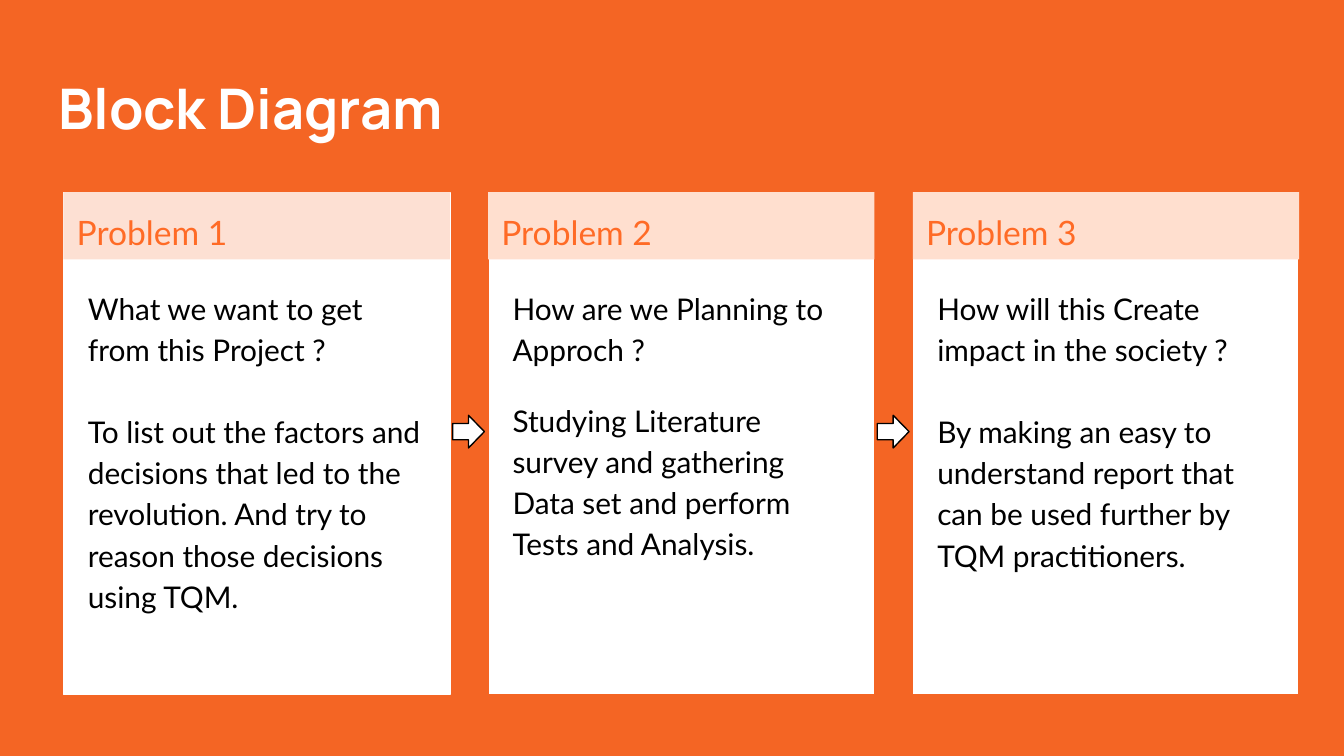
from pptx import Presentation
from pptx.dml.color import RGBColor
from pptx.enum import shapes, text
from pptx.util import Pt

COLOURS = {
    "orange": "F46524",
    "heading": "FF6B26",
    "blush": "FDE0D3",
    "peach": "FFDFCF",
    "white": "FFFFFF",
    "black": "000000",
}

# Card grid, in points
LEFT, TOP, PITCH = 34, 103, 227.5
CARD_WIDTH, CARD_HEIGHT, HEADER_HEIGHT = 207, 269, 36

# Heading, header fill, card outline, gap between paragraphs, paragraphs
CARDS = [
    ("Problem 1", "blush", "white", 22, [
        "What we want to get from this Project ?",
        "To list out the factors and decisions that led to the revolution. "
        "And try to reason those decisions using TQM."]),
    ("Problem 2", "peach", "orange", 16, [
        "How are we Planning to Approch ?",
        "Studying Literature survey and gathering Data set and perform "
        "Tests and Analysis."]),
    ("Problem 3", "peach", "orange", 22, [
        "How will this Create impact in the society ?",
        "By making an easy to understand report that can be used further by "
        "TQM practitioners."]),
]


def colour(name):
    return RGBColor.from_string(COLOURS[name])


def place(box, left, top, width, height):
    box.left, box.top, box.width, box.height = map(Pt, (left, top, width, height))


def set_text(box, paragraphs, font, size, ink, bold=False, spacing=1.0, gap=0,
             anchor=text.MSO_ANCHOR.TOP):
    frame = box.text_frame
    frame.word_wrap = True
    frame.auto_size = text.MSO_AUTO_SIZE.NONE
    frame.vertical_anchor = anchor
    frame.margin_left = frame.margin_right = Pt(7.2)
    frame.margin_top = frame.margin_bottom = Pt(7.2)
    frame.text = "\n".join(paragraphs)
    for index, para in enumerate(frame.paragraphs):
        para.alignment = text.PP_ALIGN.LEFT
        para.line_spacing = spacing
        if index:
            para.space_before = Pt(gap)
        for span in para.runs:
            span.font.name = font
            span.font.size = Pt(size)
            span.font.bold = bold
            span.font.color.rgb = colour(ink)


def add_block(page, kind, left, top, width, height, fill, line=None):
    block = page.shapes.add_shape(
        kind, Pt(left), Pt(top), Pt(width), Pt(height))
    block.shadow.inherit = False
    block.fill.solid()
    block.fill.fore_color.rgb = colour(fill)
    if line:
        block.line.color.rgb = colour(line)
        block.line.width = Pt(0.75)
    else:
        block.line.fill.background()
    return block


def add_title(page, words):
    title = page.shapes.title
    place(title, 24, 32.5, 671, 50)
    set_text(title, [words], "Manrope", 30, "white", bold=True,
             anchor=text.MSO_ANCHOR.MIDDLE)


def add_card(page, left, heading, header_fill, outline, gap, paragraphs):
    rectangle = shapes.MSO_SHAPE.RECTANGLE
    add_block(page, rectangle, left, TOP, CARD_WIDTH, CARD_HEIGHT,
              "white", outline)
    header = add_block(page, rectangle, left, TOP, CARD_WIDTH, HEADER_HEIGHT,
                       header_fill)
    set_text(header, [heading], "Lato", 18, "heading", spacing=1.15)
    body = page.shapes.add_textbox(
        Pt(left + 6), Pt(TOP + 42.5), Pt(195), Pt(220))
    set_text(body, paragraphs, "Lato", 16, "black", spacing=1.15, gap=gap)


def add_arrow(page, left):
    add_block(page, shapes.MSO_SHAPE.RIGHT_ARROW, left, 222.5, 17, 17.5,
              "white", "black")


def main():
    deck = Presentation()
    deck.slide_width, deck.slide_height = Pt(720), Pt(405)
    page = deck.slides.add_slide(deck.slide_layouts[5])
    page.background.fill.solid()
    page.background.fill.fore_color.rgb = colour("orange")

    add_title(page, "Block Diagram")

    # Three cards, with an arrow in each gap
    for index, card in enumerate(CARDS):
        left = LEFT + index * PITCH
        add_card(page, left, *card)
        if index < len(CARDS) - 1:
            add_arrow(page, left + CARD_WIDTH + 1.5)

    deck.save("out.pptx")


if __name__ == "__main__":
    main()
